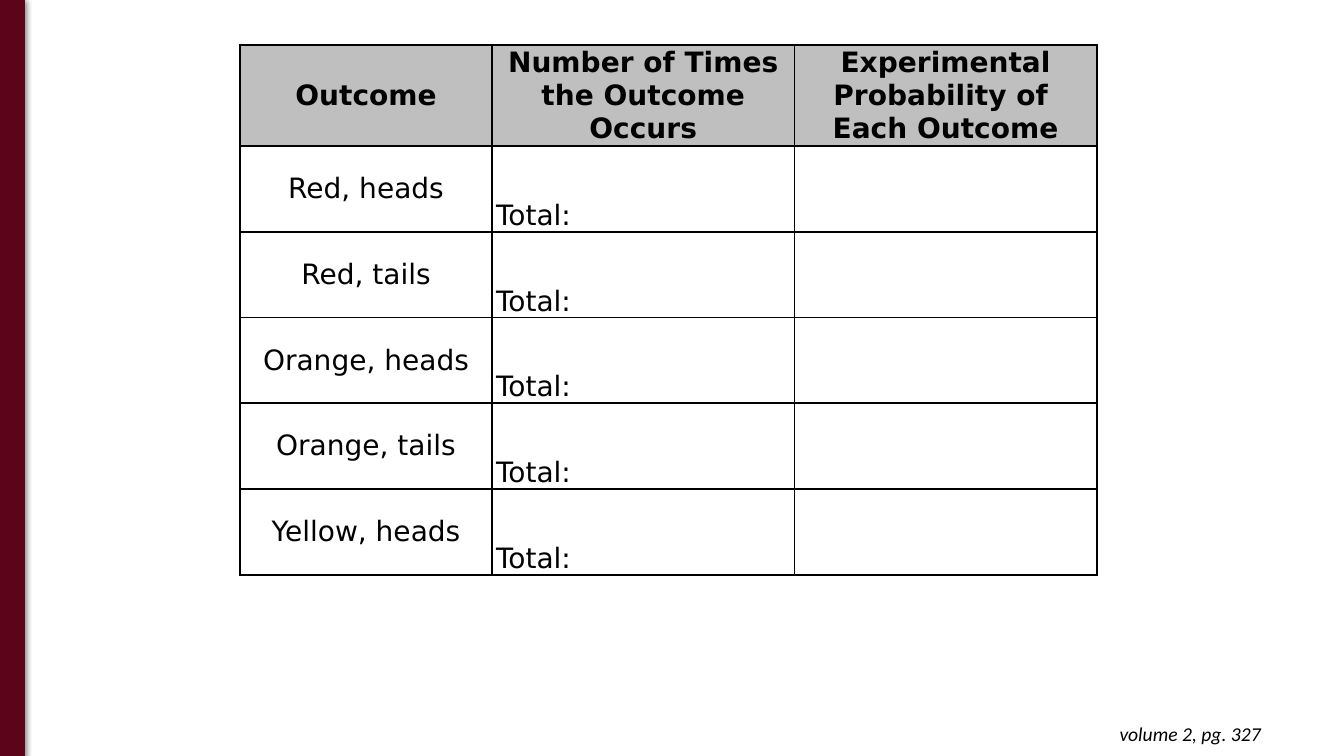
from lxml import etree
from pptx import Presentation
from pptx.dml.color import RGBColor
from pptx.enum.shapes import MSO_SHAPE as Shape
from pptx.enum.text import MSO_ANCHOR as Anchor, PP_ALIGN as Align
from pptx.oxml.ns import qn
from pptx.util import Cm, Pt

MAROON, GREY, BLACK = "5C051A", "BFBFBF", "000000"
HEADERS = [
    ["Outcome"],
    ["Number of Times the Outcome Occurs"],
    ["Experimental Probability of ", "Each Outcome"],
]
OUTCOMES = ["Red, heads", "Red, tails", "Orange, heads", "Orange, tails", "Yellow, heads"]
COL_WIDTHS = [6.35, 7.62, 7.62]
HEADER_HEIGHT, ROW_HEIGHT = 2.49, 2.16


def rgb(value):
    return RGBColor.from_string(value)


def write(tf, lines, size, font, align, bold=False, italic=False):
    """Fill the first paragraph, with a line break between lines."""
    p = tf.paragraphs[0]
    p.alignment = align
    for i, line in enumerate(lines):
        if i:
            p.add_line_break()
        r = p.add_run()
        r.text = line
        r.font.size, r.font.name = Pt(size), font
        r.font.bold, r.font.italic = bold, italic
        r.font.color.rgb = rgb(BLACK)


def add_borders(cell, color, width):
    tc_pr = cell._tc.get_or_add_tcPr()
    for side in ("lnL", "lnR", "lnT", "lnB"):
        ln = etree.SubElement(tc_pr, qn(f"a:{side}"), w=str(Pt(width)))
        fill = etree.SubElement(ln, qn("a:solidFill"))
        etree.SubElement(fill, qn("a:srgbClr"), val=color)


def format_cell(cell, lines=(), align=Align.CENTER, anchor=Anchor.MIDDLE,
                margin=0.08, bold=False, fill=None):
    add_borders(cell, BLACK, 1.5)
    if fill:
        cell.fill.solid()
        cell.fill.fore_color.rgb = rgb(fill)
    else:
        cell.fill.background()
    cell.margin_left = cell.margin_right = Cm(margin)
    cell.margin_top = cell.margin_bottom = 0
    cell.vertical_anchor = anchor
    write(cell.text_frame, lines, 20, "DejaVu Sans", align, bold)


def add_outcome_table(s):
    height = HEADER_HEIGHT + ROW_HEIGHT * len(OUTCOMES)
    table = s.shapes.add_table(len(OUTCOMES) + 1, len(HEADERS), Cm(6.05), Cm(1.14),
                               Cm(sum(COL_WIDTHS)), Cm(height)).table
    for column, width in zip(table.columns, COL_WIDTHS):
        column.width = Cm(width)
    for i, row in enumerate(table.rows):
        row.height = Cm(ROW_HEIGHT if i else HEADER_HEIGHT)
    for i, header in enumerate(HEADERS):
        format_cell(table.cell(0, i), header, bold=True, fill=GREY)
    for i, outcome in enumerate(OUTCOMES, 1):
        format_cell(table.cell(i, 0), [outcome])
        format_cell(table.cell(i, 1), ["Total:"], Align.LEFT, Anchor.BOTTOM, 0.1)
        format_cell(table.cell(i, 2))


def add_page_reference(s, text):
    tf = s.shapes.add_textbox(Cm(24.71), Cm(17.93), Cm(7.32), Cm(1.12)).text_frame
    tf.word_wrap = True
    tf.margin_left = tf.margin_right = tf.margin_top = tf.margin_bottom = Cm(0.25)
    write(tf, [text], 14, "Calibri", Align.RIGHT, italic=True)


def add_shadow(sp, color, alpha, blur, dist, angle):
    sp.shadow.inherit = False
    effects = sp._element.spPr.find(qn("a:effectLst"))
    shadow = etree.SubElement(effects, qn("a:outerShdw"), blurRad=str(Pt(blur)),
                              dist=str(Pt(dist)), dir=str(angle * 60000), rotWithShape="0")
    clr = etree.SubElement(shadow, qn("a:srgbClr"), val=color)
    etree.SubElement(clr, qn("a:alpha"), val=str(alpha * 1000))


def add_side_bar(s):
    sp = s.shapes.add_shape(Shape.RECTANGLE, 0, Cm(-0.02), Cm(0.62), Cm(19.07))
    sp.fill.solid()
    sp.fill.fore_color.rgb = rgb(MAROON)
    sp.line.color.rgb = rgb(MAROON)
    sp.line.width = Pt(0.75)
    add_shadow(sp, BLACK, alpha=50, blur=4.5, dist=1.5, angle=90)


def main():
    prs = Presentation()
    prs.slide_width, prs.slide_height = Cm(33.87), Cm(19.05)
    s = prs.slides.add_slide(prs.slide_layouts[6])
    add_page_reference(s, "volume 2, pg. 327")
    add_outcome_table(s)
    add_side_bar(s)
    prs.save("out.pptx")


if __name__ == "__main__":
    main()
